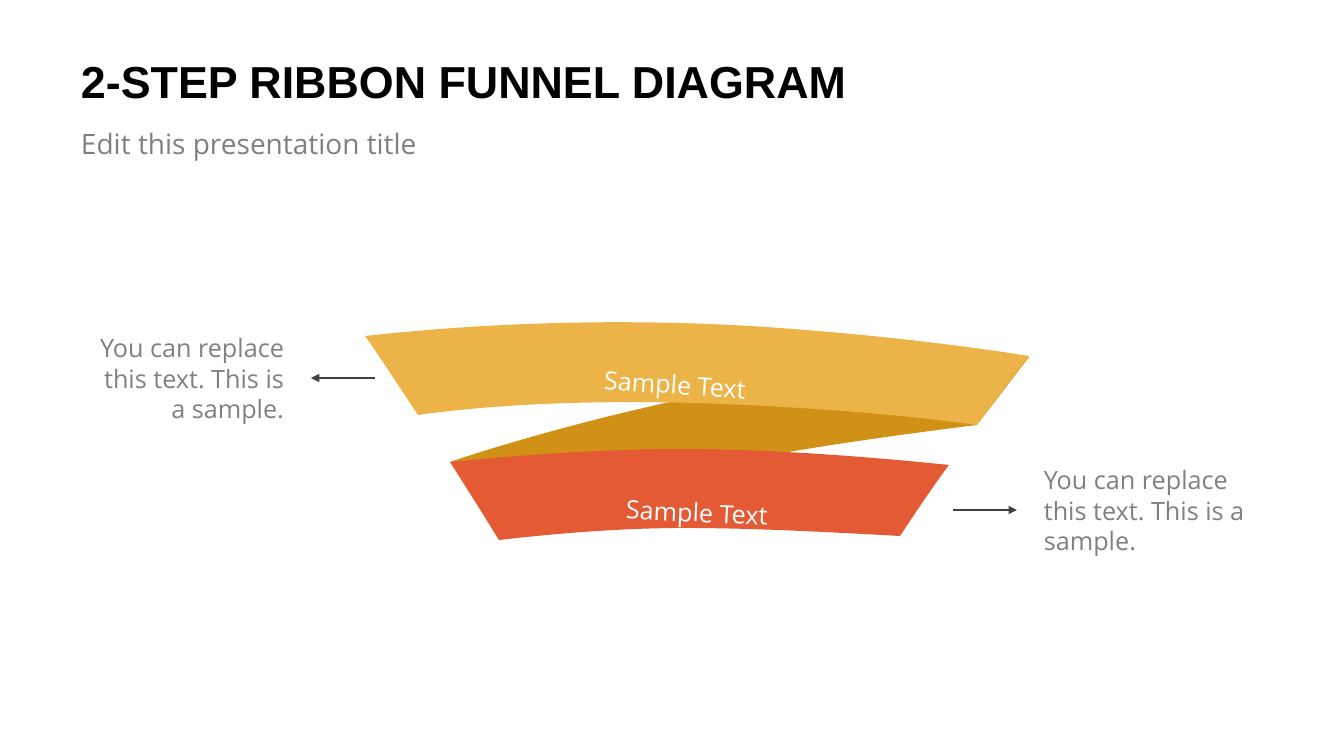
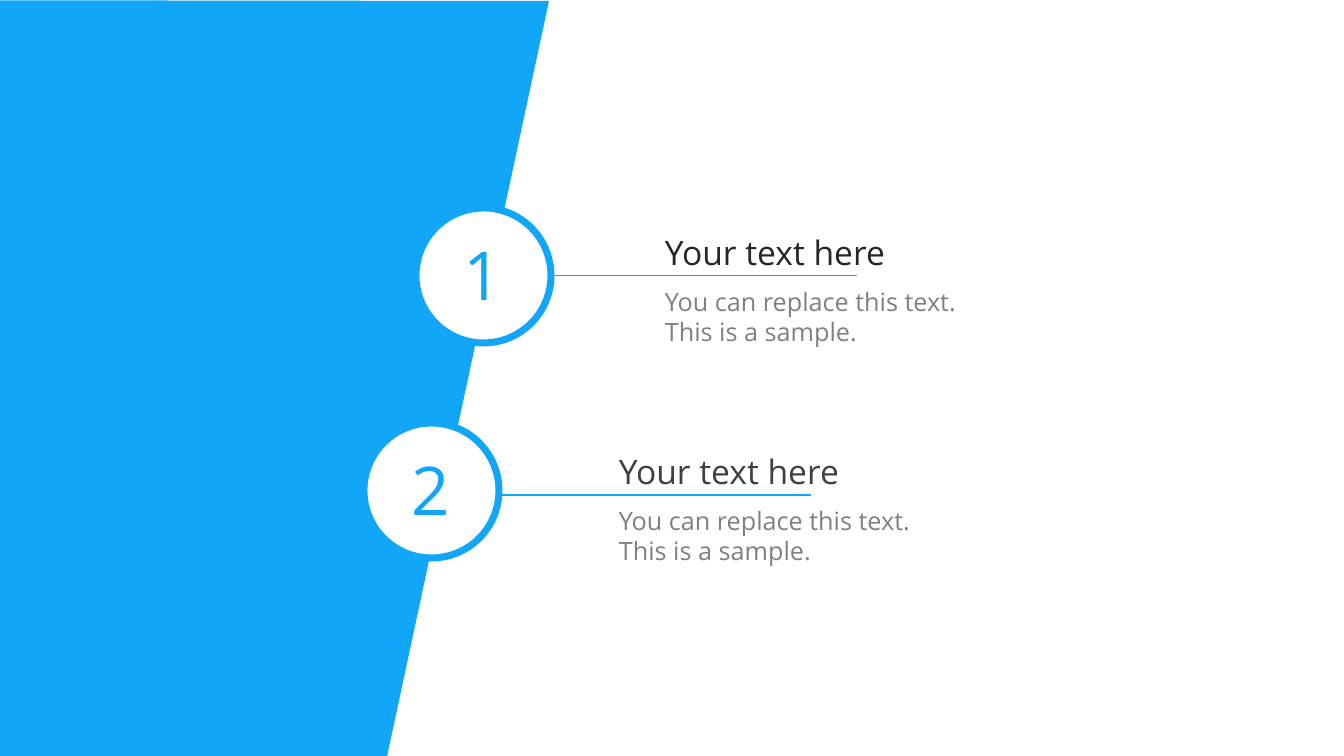
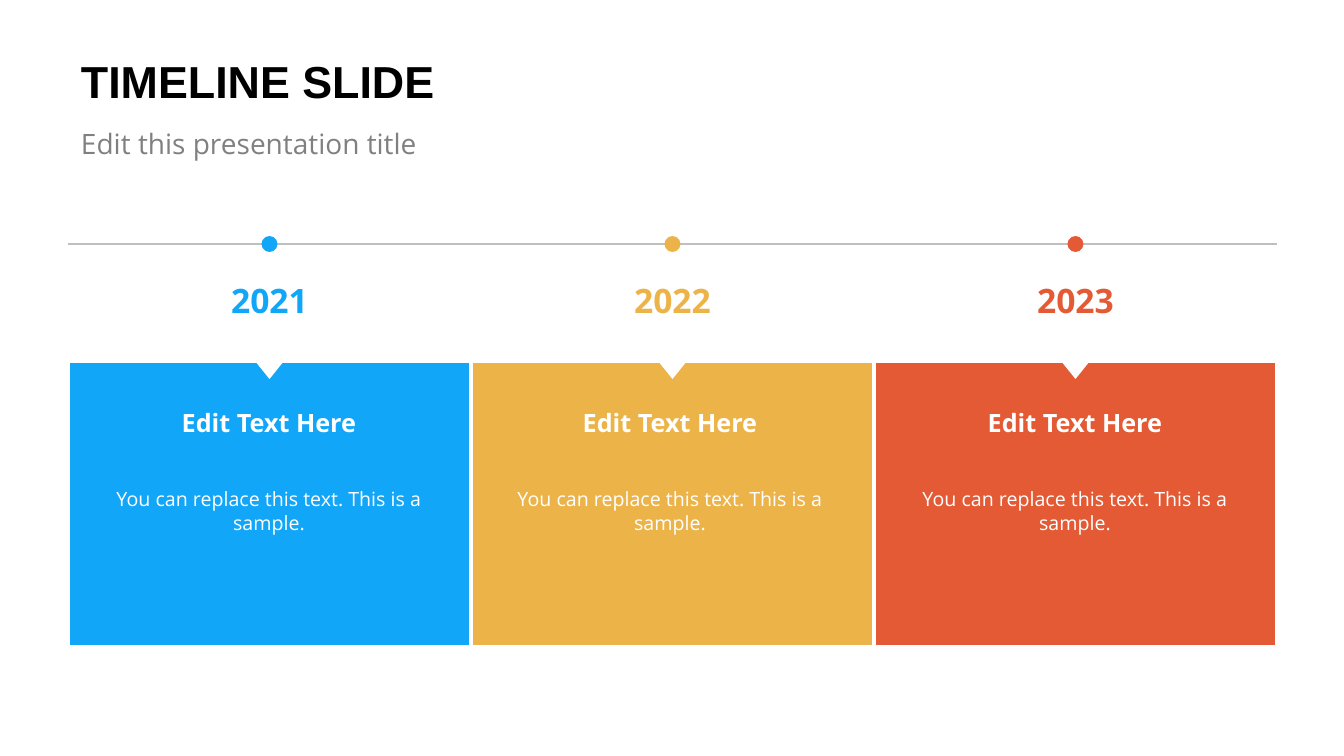
from lxml.etree import SubElement
from pptx import Presentation
from pptx.dml.color import RGBColor
from pptx.enum.shapes import MSO_CONNECTOR, MSO_SHAPE
from pptx.enum.text import MSO_ANCHOR, MSO_AUTO_SIZE, PP_ALIGN
from pptx.oxml.ns import qn
from pptx.util import Pt

BLUE = RGBColor(0x12, 0xA6, 0xF8)
YELLOW = RGBColor(0xEC, 0xB4, 0x48)
DARK_YELLOW = RGBColor(0xD1, 0x91, 0x16)
ORANGE = RGBColor(0xE3, 0x5A, 0x35)
WHITE = RGBColor(0xFF, 0xFF, 0xFF)
BLACK = RGBColor(0x00, 0x00, 0x00)
INK = RGBColor(0x26, 0x26, 0x26)
CHARCOAL = RGBColor(0x40, 0x40, 0x40)
GRAY = RGBColor(0x80, 0x80, 0x80)
SILVER = RGBColor(0xBF, 0xBF, 0xBF)

BODY_FONT = "Open Sans"
TITLE_FONT = "Arial"
WIDTH, HEIGHT = 1344, 756
EMU_PER_PIXEL = 914400 / 100.8
TITLE_ONLY, BLANK = 5, 6

SAMPLE = "You can replace this text. This is a sample."
SUBTITLE = "Edit this presentation title"

BACK_FOLD = [(612, 108),
             (612, 108), (380, 136), (319, 158),
             (85, 145), (85, 145), (85, 145),
             (85, 145), (378, 43), (664, 40),
             (612, 108)]
TOP_BAND = [(332, 86),
            (441, 90), (533, 97), (612, 108),
            (629, 85), (647, 61), (664, 39),
            (588, 27), (501, 17), (401, 10),
            (246, 0), (110, 7), (0, 19),
            (18, 44), (35, 71), (53, 98),
            (124, 88), (216, 83), (332, 86)]
LOWER_BAND = [(85, 145),
              (101, 170), (118, 197), (134, 223),
              (195, 216), (259, 211), (320, 211),
              (386, 211), (462, 215), (535, 219),
              (551, 195), (567, 171), (584, 148),
              (497, 139), (400, 132), (317, 132),
              (239, 132), (156, 138), (85, 145)]


def px(pixels):
    return round(pixels * EMU_PER_PIXEL)


def paint(shape, fill, line=None, weight=0):
    shape.shadow.inherit = False
    shape.fill.solid()
    shape.fill.fore_color.rgb = fill
    if line is None:
        shape.line.fill.background()
    else:
        shape.line.color.rgb = line
        shape.line.width = Pt(weight)


def add_figure(page, kind, box, fill, line=None, weight=0):
    figure = page.shapes.add_shape(kind, *map(px, box))
    paint(figure, fill, line, weight)
    return figure


def add_line(page, start, end, color, weight, arrow=False):
    line = page.shapes.add_connector(MSO_CONNECTOR.STRAIGHT, *map(px, start + end))
    line.line.color.rgb = color
    line.line.width = Pt(weight)
    properties = line._element.spPr
    if arrow:
        SubElement(properties.find(qn("a:ln")), qn("a:tailEnd"), type="triangle")
    SubElement(properties, qn("a:effectLst"))


def write(frame, text, size, color, font=BODY_FONT, bold=False,
          align=PP_ALIGN.LEFT, anchor=MSO_ANCHOR.TOP, wrap=True):
    frame.text = text
    frame.word_wrap = wrap
    frame.auto_size = MSO_AUTO_SIZE.NONE
    frame.vertical_anchor = anchor
    para = frame.paragraphs[0]
    para.alignment = align
    style = para.runs[0].font
    style.name, style.size, style.bold = font, Pt(size), bold
    style.color.rgb = color


def add_text(page, box, text, size, color, **style):
    label = page.shapes.add_textbox(*map(px, box))
    write(label.text_frame, text, size, color, **style)
    return label


def set_insets(frame):
    frame.margin_left = frame.margin_right = px(13)
    frame.margin_top = frame.margin_bottom = px(7)


def add_heading(page, title):
    holder = page.shapes.title
    holder.left, holder.top, holder.width, holder.height = map(px, (68, 41, 857, 79))
    write(holder.text_frame, title, 32, BLACK, font=TITLE_FONT, bold=True,
          anchor=MSO_ANCHOR.MIDDLE)
    set_insets(holder.text_frame)
    subtitle = add_text(page, (68, 119, 436, 56), SUBTITLE, 20, GRAY)
    set_insets(subtitle.text_frame)


def add_outline(page, origin, points, fill):
    placed = [(px(origin[0] + x), px(origin[1] + y)) for x, y in points]
    builder = page.shapes.build_freeform(*placed[0], scale=1.0)
    builder.add_line_segments(placed[1:], close=True)
    outline = builder.convert_to_shape()
    paint(outline, fill)
    return outline


def bend(outline):
    segments = list(outline._element.iter(qn("a:lnTo")))
    for first in range(0, len(segments) - 2, 3):
        curve, *others = segments[first:first + 3]
        for segment in others:
            curve.append(segment[0])
            segment.getparent().remove(segment)
        curve.tag = qn("a:cubicBezTo")


def add_funnel(page, left, top):
    funnel = page.shapes.add_group_shape()
    for points, fill in ((BACK_FOLD, DARK_YELLOW), (TOP_BAND, YELLOW),
                         (LOWER_BAND, ORANGE)):
        bend(add_outline(funnel, (left, top), points, fill))
    for x, y, angle in ((87, 47, 3.9), (109, 175, 2.7)):
        label = add_text(funnel, (left + x, top + y, 445, 56), "Sample Text", 18, WHITE,
                         align=PP_ALIGN.CENTER)
        label.rotation = angle


def add_callout(page, box, align):
    left, top, width, height = box
    add_text(page, box, SAMPLE, 18, GRAY, align=align, anchor=MSO_ANCHOR.MIDDLE)
    edge, toward = (left + width, 1) if align == PP_ALIGN.RIGHT else (left, -1)
    middle = top + height // 2
    add_line(page, (edge + toward * 81, middle), (edge + toward * 17, middle),
             CHARCOAL, 0.75, arrow=True)


def add_step(page, number, circle, caption, color):
    left, top = circle
    text_left, text_top = caption
    rule = text_top + 49
    add_line(page, (text_left + 202, rule), (text_left - 115, rule), BLUE, 0.75)
    add_figure(page, MSO_SHAPE.OVAL, (left, top, 135, 135), WHITE, BLUE, 5)
    add_text(page, (left + 37, top + 20, 59, 92), number, 48, BLUE,
             align=PP_ALIGN.CENTER, anchor=MSO_ANCHOR.MIDDLE, wrap=False)
    add_text(page, (text_left, text_top, 320, 50), "Your text here", 24, color)
    add_text(page, (text_left, text_top + 54, 320, 72), SAMPLE, 18, GRAY)


def add_year(page, box, year, color, caption_left):
    left, top, width, height = box

    def centered(wide, y, high):
        return left + (width - wide) / 2, top + y, wide, high

    add_figure(page, MSO_SHAPE.RECTANGLE, (left, top + 125, width, height - 125),
               color, WHITE, 2.5)
    notch = add_figure(page, MSO_SHAPE.ISOSCELES_TRIANGLE, centered(29, 125, 18), WHITE)
    notch.rotation = 180
    add_figure(page, MSO_SHAPE.OVAL, centered(16, 0, 16), color)
    add_text(page, centered(98, 39, 50), year, 24, color, bold=True,
             align=PP_ALIGN.CENTER, anchor=MSO_ANCHOR.MIDDLE, wrap=False)
    add_text(page, (caption_left, top + 166, 362, 72), "Edit Text Here", 18, WHITE,
             bold=True, align=PP_ALIGN.CENTER)
    add_text(page, (caption_left, top + 246, 362, 82), SAMPLE, 14, WHITE,
             align=PP_ALIGN.CENTER)


def build_funnel_slide(page):
    add_heading(page, "2-STEP RIBBON FUNNEL DIAGRAM")
    add_funnel(page, 365, 317)
    add_callout(page, (75, 327, 219, 102), PP_ALIGN.RIGHT)
    add_callout(page, (1034, 459, 236, 102), PP_ALIGN.LEFT)


def build_steps_slide(page):
    add_outline(page, (0, 0), [(-220, 0), (549, 1), (387, 757), (-220, HEIGHT)], BLUE)
    add_step(page, "1", (416, 208), (655, 227), INK)
    add_step(page, "2", (364, 423), (609, 446), CHARCOAL)


def build_timeline_slide(page):
    left, top, column, height = 68, 236, 403, 411
    years = (("2021", BLUE, 88), ("2022", YELLOW, 489), ("2023", ORANGE, 894))
    add_heading(page, "TIMELINE SLIDE")
    add_line(page, (left, top + 8), (left + column * len(years), top + 8), SILVER, 1)
    for index, (year, color, caption_left) in enumerate(years):
        add_year(page, (left + index * column, top, column, height), year, color,
                 caption_left)


deck = Presentation()
deck.slide_width, deck.slide_height = px(WIDTH), px(HEIGHT)
for layout, build in ((TITLE_ONLY, build_funnel_slide), (BLANK, build_steps_slide),
                      (TITLE_ONLY, build_timeline_slide)):
    build(deck.slides.add_slide(deck.slide_layouts[layout]))
deck.save("out.pptx")
